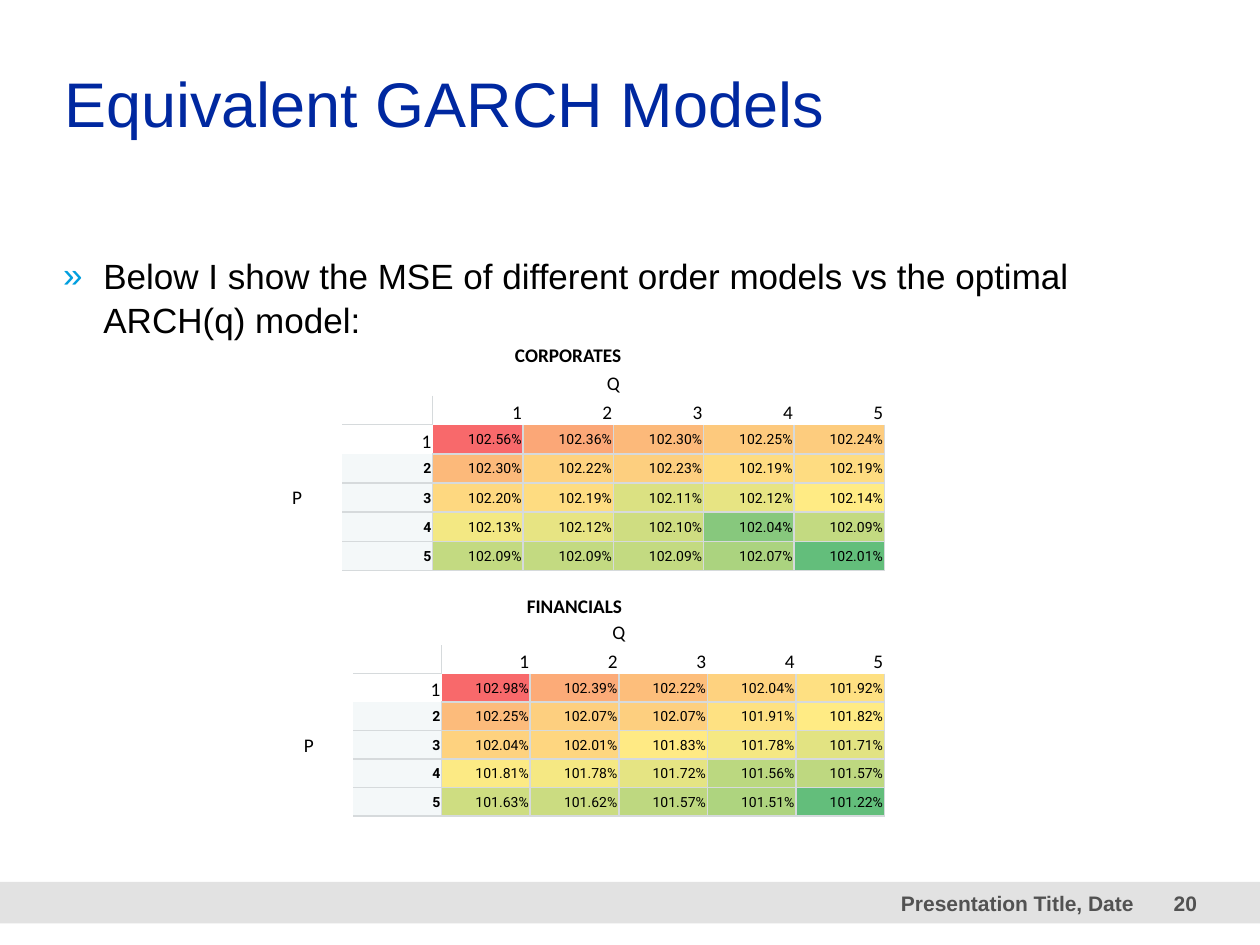
from dataclasses import dataclass

from lxml.etree import SubElement
from pptx import Presentation
from pptx.dml.color import RGBColor
from pptx.enum.shapes import MSO_SHAPE
from pptx.enum.text import MSO_ANCHOR as Anchor, PP_ALIGN as Align
from pptx.oxml.ns import qn
from pptx.util import Inches, Pt


@dataclass(frozen=True)
class Theme:
    title: str = "0028A0"
    text: str = "000000"
    bullet: str = "009FDF"
    footer_text: str = "525252"
    footer_band: str = "E2E2E2"
    grid: str = "D6DADC"
    label: str = "F4F8F9"
    white: str = "FFFFFF"
    low: str = "63BE7B"
    middle: str = "FFEB84"
    high: str = "F8696B"
    body_font: str = "Arial"
    table_font: str = "Calibri"
    value_font: str = "Roboto"
    title_size: int = 36
    body_size: int = 20
    footer_size: int = 12
    heading_size: int = 11
    value_size: int = 8


THEME = Theme()
VALUE_STYLE = dict(size=THEME.value_size, font=THEME.value_font)
HEADING_STYLE = dict(size=THEME.heading_size, font=THEME.table_font)

CORPORATES = [
    [102.56, 102.36, 102.30, 102.25, 102.24],
    [102.30, 102.22, 102.23, 102.19, 102.19],
    [102.20, 102.19, 102.11, 102.12, 102.14],
    [102.13, 102.12, 102.10, 102.04, 102.09],
    [102.09, 102.09, 102.09, 102.07, 102.01],
]
FINANCIALS = [
    [102.98, 102.39, 102.22, 102.04, 101.92],
    [102.25, 102.07, 102.07, 101.91, 101.82],
    [102.04, 102.01, 101.83, 101.78, 101.71],
    [101.81, 101.78, 101.72, 101.56, 101.57],
    [101.63, 101.62, 101.57, 101.51, 101.22],
]


def write_text(frame, text, size=THEME.body_size, font=THEME.body_font,
               color=THEME.text, bold=False, align=Align.LEFT, anchor=Anchor.TOP):
    frame.word_wrap = True
    frame.vertical_anchor = anchor
    paragraph = frame.paragraphs[0]
    paragraph.alignment = align
    run = paragraph.add_run()
    run.text = text
    run.font.size = Pt(size)
    run.font.name = font
    run.font.bold = bold
    run.font.color.rgb = RGBColor.from_string(color)
    return paragraph


def clear_margins(frame):
    frame.margin_left = frame.margin_right = frame.margin_top = frame.margin_bottom = 0


def place(shape, left, top, width, height):
    shape.left, shape.top = Inches(left), Inches(top)
    shape.width, shape.height = Inches(width), Inches(height)
    clear_margins(shape.text_frame)


def add_bullet(paragraph, character, color, indent):
    properties = paragraph._p.get_or_add_pPr()
    properties.set("marL", str(Inches(indent)))
    properties.set("indent", str(-Inches(indent)))
    bullet_color = SubElement(properties, qn("a:buClr"))
    SubElement(bullet_color, qn("a:srgbClr"), val=color)
    SubElement(properties, qn("a:buChar"), char=character)


def add_footer(slide):
    band = slide.shapes.add_shape(
        MSO_SHAPE.RECTANGLE, Inches(0), Inches(7), Inches(10), Inches(0.33))
    band.shadow.inherit = False
    band.fill.solid()
    band.fill.fore_color.rgb = RGBColor.from_string(THEME.footer_band)
    band.line.fill.background()
    for text, left, width in (("Presentation Title, Date", 4.56, 4.44), ("20", 9, 0.5)):
        box = slide.shapes.add_textbox(
            Inches(left), Inches(7), Inches(width), Inches(0.33))
        clear_margins(box.text_frame)
        write_text(box.text_frame, text, size=THEME.footer_size, bold=True,
                   color=THEME.footer_text, align=Align.RIGHT, anchor=Anchor.MIDDLE)


def blend(start, end, share):
    first, last = RGBColor.from_string(start), RGBColor.from_string(end)
    return str(RGBColor(*(round(a + (b - a) * share) for a, b in zip(first, last))))


def scale_color(value, ordered):
    low, middle, high = ordered[0], ordered[len(ordered) // 2], ordered[-1]
    if value <= middle:
        return blend(THEME.low, THEME.middle, (value - low) / (middle - low))
    return blend(THEME.middle, THEME.high, (value - middle) / (high - middle))


def border_sides(row, column):
    if row < 2 or column == 0:
        return ""
    if column == 1:
        return {2: "RB", 3: "T", 4: "RB"}.get(row, "TRB")
    if row == 2:
        return "L" if column == 2 else ""
    if row == 3:
        return "RB" if column == 2 else "LRB"
    return "LRTB"


def format_cell(cell, sides, fill):
    cell.margin_left = cell.margin_right = cell.margin_top = Inches(0.01)
    cell.margin_bottom = 0
    properties = cell._tc.get_or_add_tcPr()
    for side in "LRTB":
        line = SubElement(properties, qn(f"a:ln{side}"), w=str(Pt(1)))
        if side in sides:
            solid = SubElement(line, qn("a:solidFill"))
            SubElement(solid, qn("a:srgbClr"), val=THEME.grid)
        else:
            SubElement(line, qn("a:noFill"))
    if fill:
        cell.fill.solid()
        cell.fill.fore_color.rgb = RGBColor.from_string(fill)
    else:
        cell.fill.background()
    end = cell.text_frame.paragraphs[0]._p.get_or_add_endParaRPr()
    end.set("sz", str(THEME.value_size * 100))


def cell_fill(row, column, values, ordered):
    if row < 2 or column == 0:
        return None
    if row == 2:
        return THEME.white
    if column == 1:
        return THEME.label if row > 3 else None
    return scale_color(values[row - 3][column - 2], ordered)


def write_cell(cell, text, align=Align.RIGHT, anchor=Anchor.BOTTOM, **style):
    write_text(cell.text_frame, text, align=align, **style)
    cell.vertical_anchor = anchor


def add_heat_table(slide, name, values, left, top, width, height, title_height):
    table = slide.shapes.add_table(
        8, 7, Inches(left), Inches(top), Inches(width), Inches(height)).table
    table.first_row = table.horz_banding = False
    for column in table.columns:
        column.width = Inches(width / 7)
    for index, row in enumerate(table.rows):
        row.height = Inches(title_height if index < 2 else (height - 2 * title_height) / 6)

    ordered = sorted(value for row in values for value in row)
    for row in range(8):
        for column in range(7):
            format_cell(table.cell(row, column), border_sides(row, column),
                        cell_fill(row, column, values, ordered))

    for first, last in (((0, 0), (0, 6)), ((1, 1), (1, 6)), ((3, 0), (7, 0))):
        table.cell(*first).merge(table.cell(*last))
    write_cell(table.cell(0, 0), name, align=Align.CENTER, bold=True, **HEADING_STYLE)
    write_cell(table.cell(1, 1), "Q", align=Align.CENTER, **HEADING_STYLE)
    write_cell(table.cell(3, 0), "P", align=Align.CENTER, anchor=Anchor.MIDDLE,
               **HEADING_STYLE)

    for index, row_values in enumerate(values):
        order = str(index + 1)
        write_cell(table.cell(2, index + 2), order, **HEADING_STYLE)
        if index == 0:
            write_cell(table.cell(3, 1), order, **HEADING_STYLE)
        else:
            write_cell(table.cell(index + 3, 1), order, anchor=Anchor.MIDDLE,
                       bold=True, **VALUE_STYLE)
        for column, value in enumerate(row_values, start=2):
            write_cell(table.cell(index + 3, column), f"{value:.2f}%",
                       anchor=Anchor.MIDDLE, **VALUE_STYLE)


def main():
    presentation = Presentation()
    presentation.slide_width, presentation.slide_height = Inches(10), Inches(7.5)
    slide = presentation.slides.add_slide(presentation.slide_layouts[1])
    add_footer(slide)

    title, body = slide.shapes.title, slide.placeholders[1]
    place(title, 0.51, 0.5, 8.98, 0.61)
    write_text(title.text_frame, "Equivalent GARCH Models", size=THEME.title_size,
               color=THEME.title, anchor=Anchor.BOTTOM)
    place(body, 0.5, 2, 9, 4.7)
    paragraph = write_text(
        body.text_frame,
        "Below I show the MSE of different order models vs the optimal ARCH(q) model:")
    paragraph.space_before = Pt(6)
    paragraph.line_spacing = 1.05
    add_bullet(paragraph, "»", THEME.bullet, 0.32)

    add_heat_table(slide, "CORPORATES", CORPORATES, 2, 2.7, 5.02, 1.83, 0.22)
    add_heat_table(slide, "FINANCIALS", FINANCIALS, 2.1, 4.7, 4.92, 1.78, 0.21)
    presentation.save("out.pptx")


if __name__ == "__main__":
    main()
